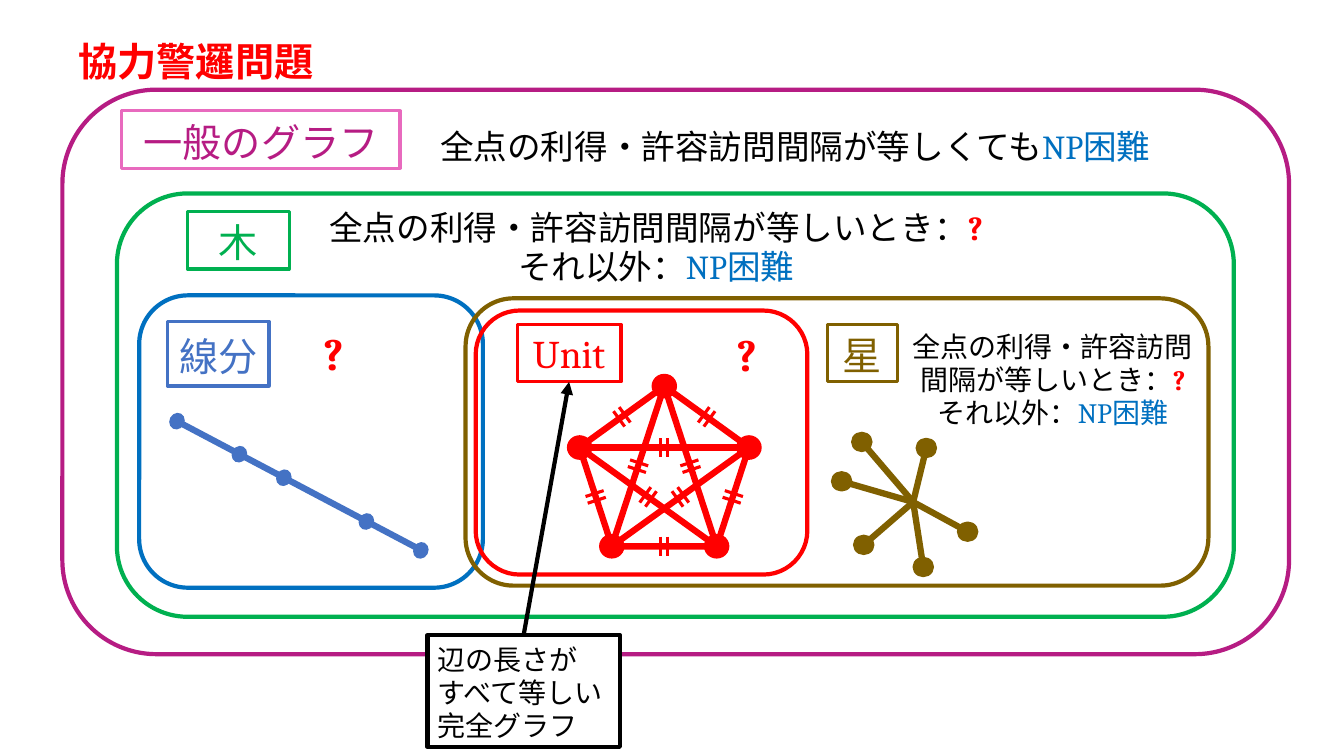
from itertools import combinations
from math import hypot
from lxml import etree
from pptx import Presentation
from pptx.dml.color import RGBColor
from pptx.enum import shapes, text
from pptx.oxml import ns
from pptx.util import Pt

BLACK = RGBColor(0x00, 0x00, 0x00)
WHITE = RGBColor(0xFF, 0xFF, 0xFF)
RED = RGBColor(0xFF, 0x00, 0x00)
BLUE = RGBColor(0x00, 0x70, 0xC0)
STEEL = RGBColor(0x44, 0x72, 0xC4)
GREEN = RGBColor(0x00, 0xB0, 0x50)
PURPLE = RGBColor(0xB6, 0x1C, 0x83)
PINK = RGBColor(0xE8, 0x6A, 0xBE)
BROWN = RGBColor(0x80, 0x60, 0x00)
CJK, SERIF = "Noto Sans CJK JP", "Cambria"
KIND = shapes.MSO_SHAPE
LEFT, CENTER = text.PP_ALIGN.LEFT, text.PP_ALIGN.CENTER
TOP, MIDDLE = text.MSO_ANCHOR.TOP, text.MSO_ANCHOR.MIDDLE

prs = Presentation()
prs.slide_width, prs.slide_height = Pt(960), Pt(540)
s = prs.slides.add_slide(prs.slide_layouts[6])


def outline(kind, at, line=None, width=1, fill=None):
    sp = s.shapes.add_shape(kind, *(Pt(v) for v in at))
    sp.shadow.inherit = False
    if fill is None:
        sp.fill.background()
    else:
        sp.fill.solid()
        sp.fill.fore_color.rgb = fill
    if line is None:
        sp.line.fill.background()
    else:
        sp.line.color.rgb = line
        sp.line.width = Pt(width)
    return sp


def stroke(start, end, color, width):
    c = s.shapes.add_connector(shapes.MSO_CONNECTOR.STRAIGHT,
                               *(Pt(v) for v in (*start, *end)))
    c.line.color.rgb = color
    c.line.width = Pt(width)
    etree.SubElement(c._element.spPr, ns.qn("a:effectLst"))
    return c


# Nested graph classes
for at, color in [
    ((44.6, 64.1, 876.2, 403.2), PURPLE),
    ((83.5, 138.2, 797.8, 302.4), GREEN),
    ((99.4, 211, 245.5, 208.8), BLUE),
    ((339.8, 221.8, 236.9, 188.6), RED),
    ((332.6, 213.1, 530.6, 205.2), BROWN),
]:
    outline(KIND.ROUNDED_RECTANGLE, at, color, 3)

# Line segment with its vertices
x0, y0, slope = 126.7, 301, 0.53
stroke((x0, y0), (302.4, 393.8), STEEL, 4.5)
for x in (126.4, 171, 202.7, 261.7, 300.6):
    y = y0 + (x - x0) * slope
    dot = outline(KIND.OVAL, (x - 5.4, y - 6.1, 10.8, 12.2), fill=STEEL)
    dot.rotation = 28

# Complete graph: pentagon, diagonals and equal-length ticks
corners = [(474.5, 275.8), (535, 319.7), (511.9, 390.2), (437, 390.2), (414, 319.7)]
outline(KIND.REGULAR_PENTAGON, (414, 275.8, 121, 114.5), RED, 4.5)
for i, j in combinations(range(5), 2):
    (xa, ya), (xb, yb) = corners[i], corners[j]
    if j - i in (2, 3):
        stroke(corners[i], corners[j], RED, 4.5)
    length = hypot(xb - xa, yb - ya)
    dx, dy = (xb - xa) / length, (yb - ya) / length
    for shift in (-2.5, 2.5):
        x = (xa + xb) / 2 + shift * dx
        y = (ya + yb) / 2 + shift * dy
        stroke((x - 6.8 * dy, y + 6.8 * dx), (x + 6.8 * dy, y - 6.8 * dx), RED, 2.25)
for x, y in corners:
    outline(KIND.OVAL, (x - 8.6, y - 8.3, 17.2, 16.6), RED, 1, RED)

# Star
hub = (652.3, 358.6)
for x, y in [(615.6, 315.7), (661.7, 320), (691.2, 379.8),
             (659.5, 405), (617, 389.2), (601.2, 343.8)]:
    stroke(hub, (x, y), BROWN, 4.5)
    outline(KIND.OVAL, (x - 7.2, y - 6.8, 14.4, 13.6), BROWN, 1, BROWN)

# Framed labels and callout, then free text
NP_HARD = [("NP", SERIF, BLUE, False), ("困難", CJK, BLUE, False)]
UNKNOWN = ("?", SERIF, RED, True)
OPEN_CASE = [
    [("全点の利得・許容訪問間隔が等しいとき：", CJK, BLACK, False), UNKNOWN],
    [("それ以外：", CJK, BLACK, False), *NP_HARD],
]
framed = {}
for name, at, color, frame, font in [
    ("線分", (119.5, 229.7, 72.7, 46.1), STEEL, STEEL, CJK),
    ("一般のグラフ", (87.1, 79.2, 198.7, 41), PURPLE, PINK, CJK),
    ("木", (133.9, 151.2, 72.7, 41), GREEN, GREEN, CJK),
    ("Unit", (369.4, 231.8, 74.2, 41), RED, RED, SERIF),
    ("星", (591.1, 231.8, 49.7, 41), BROWN, BROWN, CJK),
]:
    framed[name] = (outline(KIND.RECTANGLE, at, frame, 2.25), CENTER, MIDDLE, True, 28,
                    [[(name, font, color, False)]])
callout = outline(KIND.RECTANGLE, (305.3, 453.6, 137.5, 79.9), BLACK, 3, WHITE)
texts = [*framed.values(), (callout, LEFT, TOP, True, 20, [
    [(row, CJK, BLACK, False)] for row in ("辺の長さが", "すべて等しい", "完全グラフ")])]
for at, align, wrap, size, paras in [
    ((49, 20.9, 184.3, 41), LEFT, False, 28, [[("協力警邏問題", CJK, RED, True)]]),
    ((288.7, 84.2, 558.7, 36), CENTER, True, 24,
     [[("全点の利得・許容訪問間隔が等しくても", CJK, BLACK, False), *NP_HARD]]),
    ((206.6, 141.8, 524.2, 65.5), CENTER, True, 24, OPEN_CASE),
    ((640.8, 229.7, 222.5, 79.9), CENTER, True, 20, OPEN_CASE),
    ((223.9, 229, 28.1, 46.1), LEFT, False, 32, [[UNKNOWN]]),
    ((519.1, 229.7, 28.1, 46.1), LEFT, False, 32, [[UNKNOWN]]),
]:
    box = s.shapes.add_textbox(*(Pt(v) for v in at))
    texts.append((box, align, TOP, wrap, size, paras))

for sp, align, anchor, wrap, size, paras in texts:
    tf = sp.text_frame
    japanese = paras[0][0][1] == CJK
    top = 3.6 + (0.11 * size if japanese else 0)
    for key, value in {"word_wrap": wrap, "vertical_anchor": anchor,
                       "auto_size": text.MSO_AUTO_SIZE.NONE, "margin_top": Pt(top)}.items():
        setattr(tf, key, value)
    for i, runs in enumerate(paras):
        p = tf.paragraphs[0] if i == 0 else tf.add_paragraph()
        p.alignment = align
        if japanese:
            p.line_spacing = Pt(1.18 * size)
        for words, font, color, bold in runs:
            r = p.add_run()
            r.text = words
            for key, value in {"name": font, "size": Pt(size), "bold": bold}.items():
                setattr(r.font, key, value)
            r.font.color.rgb = color
            etree.SubElement(r._r.get_or_add_rPr(), ns.qn("a:ea"), typeface=font)

# Arrow from the callout to the Unit label
arrow = stroke((374, 453.6), (406.5, 272.8), BLACK, 3)
arrow.begin_connect(callout, 0)
arrow.end_connect(framed["Unit"][0], 2)
etree.SubElement(arrow.line._get_or_add_ln(), ns.qn("a:tailEnd"), type="triangle")

prs.save("out.pptx")
